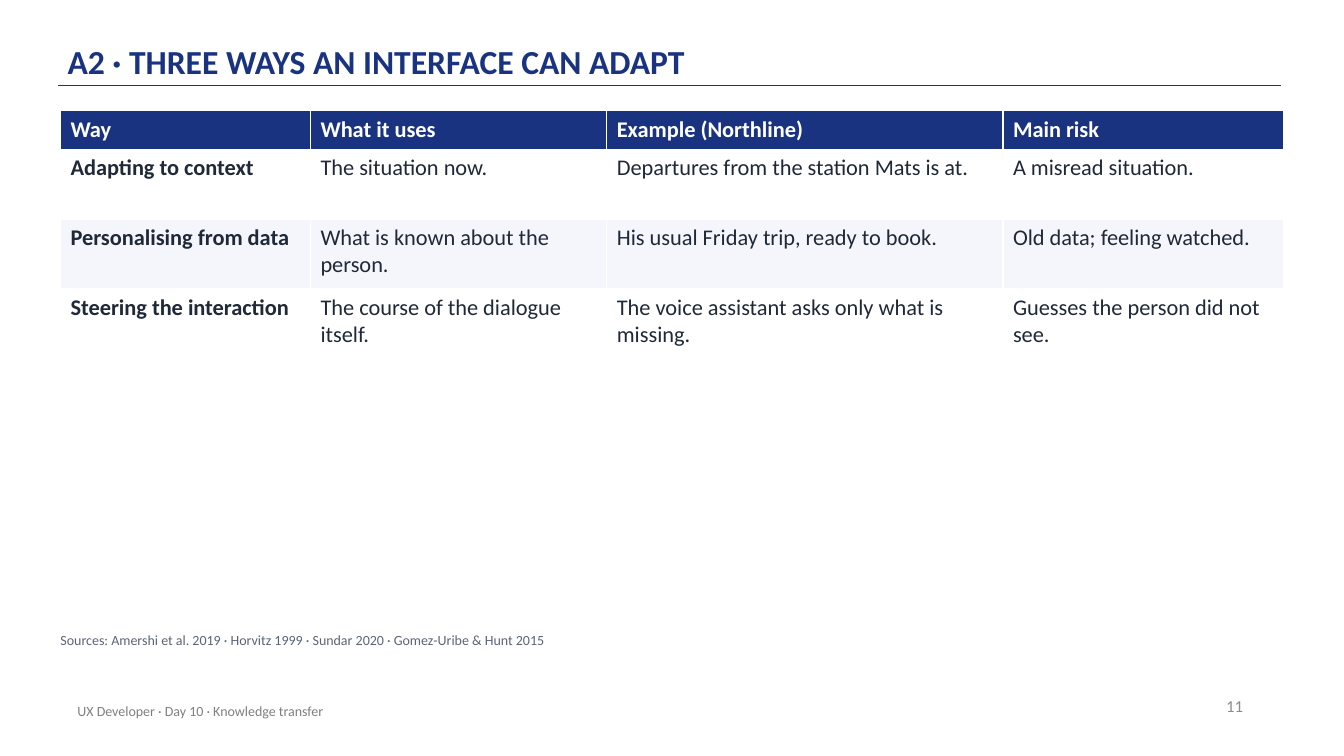
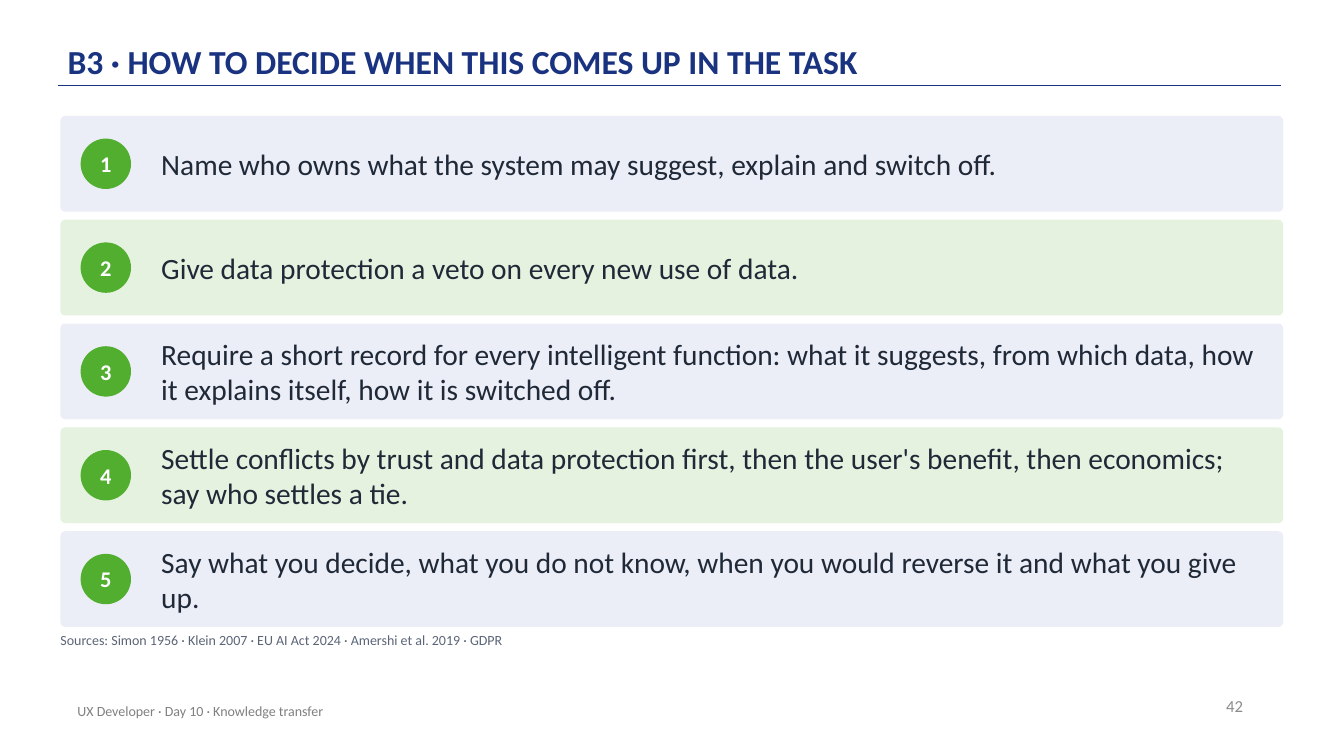
from dataclasses import dataclass

import lxml.etree
import pptx
import pptx.dml.color
import pptx.enum.shapes
import pptx.enum.text
import pptx.oxml.ns
import pptx.util

SHAPE = pptx.enum.shapes.MSO_SHAPE
ALIGN = pptx.enum.text.PP_ALIGN
ANCHOR = pptx.enum.text.MSO_ANCHOR

FONT = "Calibri"
COLORS = {
    "navy": "1A3381",
    "green": "51AE2F",
    "ink": "1F2937",
    "source": "5B6577",
    "footer": "808080",
    "number": "8C8C8C",
    "white": "FFFFFF",
    "stripe": "F4F6FB",
    "blue_band": "ECEEF7",
    "green_band": "E5F2DF",
}
FOOTER = "UX Developer · Day 10 · Knowledge transfer"

# The slide is a grid of square cells, ten to the inch.
CELL = pptx.util.Inches(0.1)
SLIDE_COLS, SLIDE_ROWS = 133.33, 75
MARGIN, CONTENT_COLS = 6, 121.3


@dataclass(frozen=True)
class Box:
    """A rectangle in grid cells."""
    col: float
    row: float
    cols: float
    rows: float

    def emu(self) -> tuple[int, ...]:
        return tuple(cells(n) for n in (self.col, self.row, self.cols, self.rows))


@dataclass(frozen=True)
class Style:
    size: float
    color: str
    bold: bool = False
    align: ALIGN = ALIGN.LEFT
    anchor: ANCHOR = ANCHOR.MIDDLE
    insets: tuple[float, float] = (0, 0)
    line_spacing: float | None = None
    space_after: float | None = None


@dataclass(frozen=True)
class Frame:
    title: str
    number: int
    sources: str


PADDED = (1, 0.5)
TITLE = Style(24, "navy", bold=True, anchor=ANCHOR.BOTTOM, insets=(0, 0.3), line_spacing=0.9)
NUMBER = Style(12, "number", align=ALIGN.RIGHT, insets=PADDED)
FOOT = Style(10, "footer", insets=PADDED)
SOURCES = Style(10, "source", anchor=ANCHOR.TOP, space_after=6)
STEP = Style(21, "ink")
BADGE = Style(16, "white", bold=True, align=ALIGN.CENTER)

WAYS_FRAME = Frame(
    "A2 · THREE WAYS AN INTERFACE CAN ADAPT", 11,
    "Sources: Amershi et al. 2019 · Horvitz 1999 · Sundar 2020 · Gomez-Uribe & Hunt 2015")
WAYS_COLS = (24.8, 29.4, 39.3, 27.8)
HEADER_ROWS, BODY_ROWS = 3.8, 6.94
WAYS = (
    ("Way", "What it uses", "Example (Northline)", "Main risk"),
    ("Adapting to context", "The situation now.",
     "Departures from the station Mats is at.", "A misread situation."),
    ("Personalising from data", "What is known about the person.",
     "His usual Friday trip, ready to book.", "Old data; feeling watched."),
    ("Steering the interaction", "The course of the dialogue itself.",
     "The voice assistant asks only what is missing.", "Guesses the person did not see."),
)

STEPS_FRAME = Frame(
    "B3 · HOW TO DECIDE WHEN THIS COMES UP IN THE TASK", 42,
    "Sources: Simon 1956 · Klein 2007 · EU AI Act 2024 · Amershi et al. 2019 · GDPR")
STEPS_TOP, STEP_ROWS, STEP_PITCH, BADGE_SIZE = 11.5, 9.5, 10.3, 5
STEPS = (
    "Name who owns what the system may suggest, explain and switch off.",
    "Give data protection a veto on every new use of data.",
    "Require a short record for every intelligent function: what it suggests, "
    "from which data, how it explains itself, how it is switched off.",
    "Settle conflicts by trust and data protection first, then the user's benefit, "
    "then economics; say who settles a tie.",
    "Say what you decide, what you do not know, when you would reverse it "
    "and what you give up.",
)


def cells(n: float) -> int:
    return round(n * CELL)


def rgb(name: str) -> pptx.dml.color.RGBColor:
    return pptx.dml.color.RGBColor.from_string(COLORS[name])


def set_font(p, size: float, color: str, bold: bool) -> None:
    p.font.name = FONT
    p.font.size = pptx.util.Pt(size)
    p.font.bold = bold
    p.font.color.rgb = rgb(color)


def write(sp, text: str, style: Style) -> None:
    tf = sp.text_frame
    tf.word_wrap = True
    tf.vertical_anchor = style.anchor
    tf.margin_left = tf.margin_right = cells(style.insets[0])
    tf.margin_top = tf.margin_bottom = cells(style.insets[1])
    p = tf.paragraphs[0]
    p.text = text
    p.alignment = style.align
    if style.line_spacing is not None:
        p.line_spacing = style.line_spacing
    if style.space_after is not None:
        p.space_after = pptx.util.Pt(style.space_after)
    set_font(p, style.size, style.color, style.bold)


def add_text(slide, box: Box, text: str, style: Style) -> None:
    write(slide.shapes.add_textbox(*box.emu()), text, style)


def add_filled(slide, kind: SHAPE, box: Box, color: str):
    sp = slide.shapes.add_shape(kind, *box.emu())
    sp.shadow.inherit = False
    sp.fill.solid()
    sp.fill.fore_color.rgb = rgb(color)
    sp.line.fill.background()
    return sp


def add_title_rule(slide) -> None:
    line = slide.shapes.add_connector(
        pptx.enum.shapes.MSO_CONNECTOR.STRAIGHT,
        cells(5.8), cells(8.5), cells(127.1), cells(8.5))
    line.line.color.rgb = rgb("navy")
    line.line.width = pptx.util.Pt(1)
    sp_pr = line._element.spPr
    lxml.etree.SubElement(sp_pr, pptx.oxml.ns.qn("a:effectLst"))


def add_framed_slide(prs, frame: Frame):
    """Add a slide with the shared title, rule, footer, number and sources."""
    slide = prs.slides.add_slide(prs.slide_layouts[6])
    add_title_rule(slide)
    add_text(slide, Box(6.7, 1.2, 110, 7.2), frame.title, TITLE)
    add_text(slide, Box(94.3, 68, 30, 4), str(frame.number), NUMBER)
    add_text(slide, Box(6.7, 68.5, 67, 4), FOOTER, FOOT)
    add_text(slide, Box(MARGIN, 62.7, 121, 3), frame.sources, SOURCES)
    return slide


def add_ways_table(slide) -> None:
    body_count = len(WAYS) - 1
    box = Box(MARGIN, 11, CONTENT_COLS, HEADER_ROWS + body_count * BODY_ROWS)
    table = slide.shapes.add_table(len(WAYS), len(WAYS_COLS), *box.emu()).table
    table.horz_banding = False
    for column, width in zip(table.columns, WAYS_COLS):
        column.width = cells(width)
    for i, texts in enumerate(WAYS):
        header = i == 0
        table.rows[i].height = cells(HEADER_ROWS if header else BODY_ROWS)
        fill = "navy" if header else "white" if i % 2 else "stripe"
        for j, text in enumerate(texts):
            cell = table.cell(i, j)
            cell.fill.solid()
            cell.fill.fore_color.rgb = rgb(fill)
            p = cell.text_frame.paragraphs[0]
            p.text = text
            set_font(p, 16, "white" if header else "ink", header or j == 0)


def add_step(slide, index: int, text: str) -> None:
    row = STEPS_TOP + index * STEP_PITCH
    color = "green_band" if index % 2 else "blue_band"
    band = add_filled(slide, SHAPE.ROUNDED_RECTANGLE,
                      Box(MARGIN, row, CONTENT_COLS, STEP_ROWS), color)
    band.adjustments[0] = 0.05
    badge_row = row + (STEP_ROWS - BADGE_SIZE) / 2
    badge = add_filled(slide, SHAPE.OVAL,
                       Box(MARGIN + 2, badge_row, BADGE_SIZE, BADGE_SIZE), "green")
    write(badge, str(index + 1), BADGE)
    add_text(slide, Box(MARGIN + 10, row, CONTENT_COLS - 12, STEP_ROWS), text, STEP)


def main() -> None:
    prs = pptx.Presentation()
    prs.slide_width, prs.slide_height = cells(SLIDE_COLS), cells(SLIDE_ROWS)
    add_ways_table(add_framed_slide(prs, WAYS_FRAME))
    steps_slide = add_framed_slide(prs, STEPS_FRAME)
    for index, text in enumerate(STEPS):
        add_step(steps_slide, index, text)
    prs.save("out.pptx")


if __name__ == "__main__":
    main()
